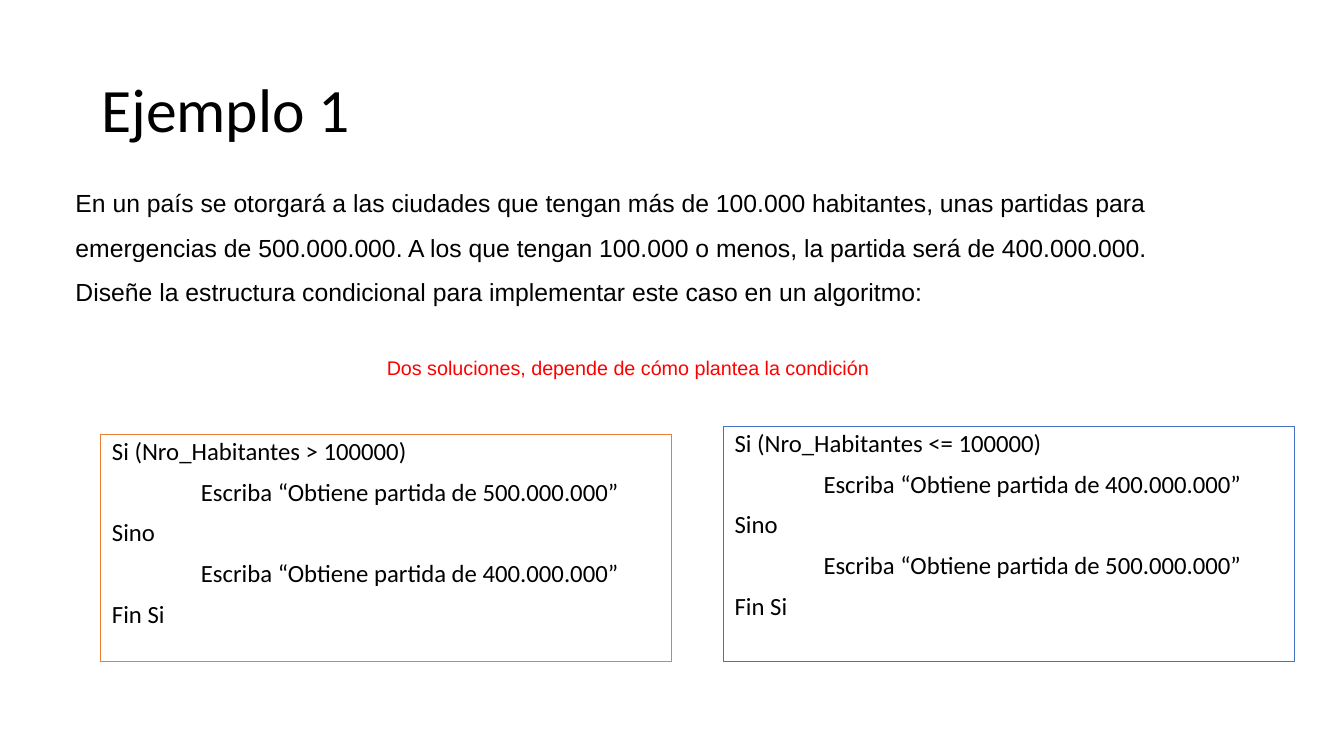
from pptx import Presentation
from pptx.dml.color import RGBColor
from pptx.enum.shapes import MSO_SHAPE
from pptx.enum.text import MSO_ANCHOR, PP_ALIGN
from pptx.util import Inches, Pt

BLACK, RED, ORANGE, BLUE = "000000", "FF0000", "ED7D31", "4472C4"
STATEMENT = (
    "En un país se otorgará a las ciudades que tengan más de 100.000 habitantes, "
    "unas partidas para emergencias de 500.000.000. A los que tengan 100.000 o menos, "
    "la partida será de 400.000.000. Diseñe la estructura condicional para implementar "
    "este caso en un algoritmo:"
)


def rgb(color):
    return RGBColor.from_string(color)


def style(paragraph, font, size, color, line_spacing):
    paragraph.font.name = font
    paragraph.font.size = Pt(size)
    paragraph.font.color.rgb = rgb(color)
    paragraph.line_spacing = line_spacing


def add_text(slide, box, text, font, size, color=BLACK, line_spacing=1.0,
             anchor=MSO_ANCHOR.TOP):
    shape = slide.shapes.add_textbox(*map(Inches, box))
    frame = shape.text_frame
    frame.word_wrap = True
    frame.vertical_anchor = anchor
    paragraph = frame.paragraphs[0]
    paragraph.text = text
    style(paragraph, font, size, color, line_spacing)


def add_solution(slide, box, condition, amount_if, amount_else, line_color):
    """Draw a framed if/else block in pseudocode."""
    shape = slide.shapes.add_shape(MSO_SHAPE.RECTANGLE, *map(Inches, box))
    shape.shadow.inherit = False
    shape.fill.background()
    shape.line.color.rgb = rgb(line_color)
    shape.line.width = Pt(0.75)

    frame = shape.text_frame
    frame.word_wrap = True
    frame.vertical_anchor = MSO_ANCHOR.TOP
    code = [
        (f"Si (Nro_Habitantes {condition} 100000)", 0.03),
        (f"Escriba “Obtiene partida de {amount_if}”", 1.03),
        ("Sino", 0.03),
        (f"Escriba “Obtiene partida de {amount_else}”", 1.03),
        ("Fin Si", 0.03),
    ]
    for index, (text, indent) in enumerate(code):
        paragraph = frame.add_paragraph() if index else frame.paragraphs[0]
        paragraph.text = text
        paragraph.alignment = PP_ALIGN.LEFT
        paragraph.space_before = Pt(11.3)
        style(paragraph, "Calibri", 20, BLACK, 0.9)
        properties = paragraph._p.get_or_add_pPr()
        properties.set("marL", str(Inches(indent)))
        properties.set("indent", "0")


def build_example(slide):
    add_text(slide, (1.04, 0.45, 13.03, 1.64), "Ejemplo 1", "Calibri", 49.9,
             line_spacing=0.9, anchor=MSO_ANCHOR.MIDDLE)
    add_text(slide, (0.75, 1.9, 12.38, 1.62), STATEMENT, "Arial", 20, line_spacing=1.5)
    add_text(slide, (4.25, 3.95, 5.97, 0.37),
             "Dos soluciones, depende de cómo plantea la condición", "Arial", 16, RED)
    high, low = "500.000.000", "400.000.000"
    add_solution(slide, (1.13, 4.89, 6.42, 2.55), ">", high, low, ORANGE)
    add_solution(slide, (8.13, 4.8, 6.42, 2.64), "<=", low, high, BLUE)


def main():
    presentation = Presentation()
    presentation.slide_width = Inches(15.11)
    presentation.slide_height = Inches(8.5)
    build_example(presentation.slides.add_slide(presentation.slide_layouts[6]))
    presentation.save("out.pptx")


if __name__ == "__main__":
    main()
